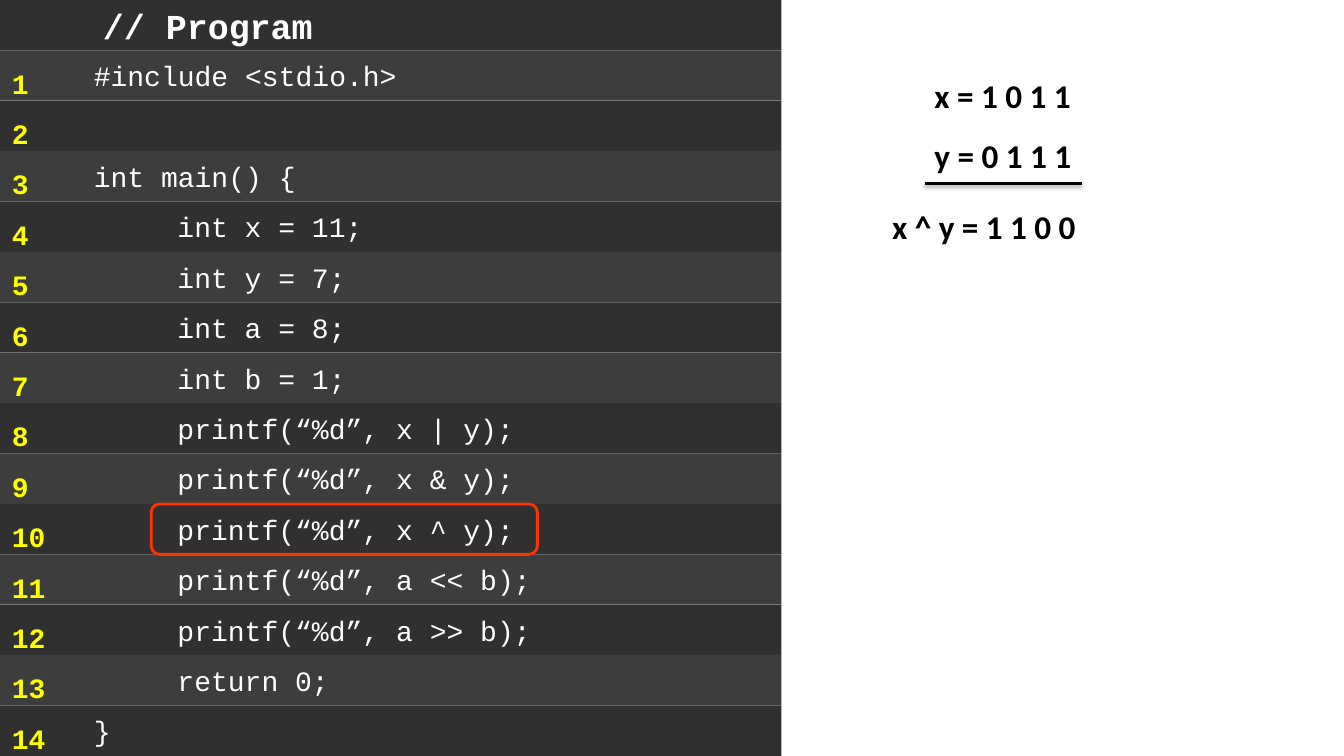
from lxml import etree
from pptx import Presentation
from pptx.dml.color import RGBColor
from pptx.enum.shapes import MSO_CONNECTOR, MSO_SHAPE
from pptx.enum.text import MSO_ANCHOR, PP_ALIGN
from pptx.oxml.ns import qn
from pptx.util import Inches, Pt

RECTANGLE = MSO_SHAPE.RECTANGLE
ROUNDED = MSO_SHAPE.ROUNDED_RECTANGLE
STRAIGHT = MSO_CONNECTOR.STRAIGHT
MIDDLE = MSO_ANCHOR.MIDDLE
LEFT = PP_ALIGN.LEFT

COLORS = {
    "dark": "303030",
    "light": "3D3D3D",
    "code": "FFFFFF",
    "number": "FFFF00",
    "working": "000000",
    "highlight": "FF3300",
}
CODE_FONT = "Courier New"
BODY_FONT = "Calibri"

ROW_HEIGHT = 0.5
CODE_WIDTH = 7.75
CODE_LEFT = 0.93
INDENT = 0.83
TITLE_LEFT = 1.02
HIGHLIGHTED_LINE = 10

# Each line of the program: indent level and code
PROGRAM = [
    (0, "#include <stdio.h>"),
    (0, ""),
    (0, "int main() {"),
    (1, "int x = 11;"),
    (1, "int y = 7;"),
    (1, "int a = 8;"),
    (1, "int b = 1;"),
    (1, "printf(“%d”, x | y);"),
    (1, "printf(“%d”, x & y);"),
    (1, "printf(“%d”, x ^ y);"),
    (1, "printf(“%d”, a << b);"),
    (1, "printf(“%d”, a >> b);"),
    (1, "return 0;"),
    (0, "}"),
]


class SlideBuilder:
    def __init__(self, slide):
        self.slide = slide

    def color(self, name):
        return RGBColor.from_string(COLORS[name])

    def format_paragraph(self, paragraph, font, size, color, bold):
        paragraph.alignment = LEFT
        for run in paragraph.runs:
            run.font.name = font
            run.font.size = Pt(size)
            run.font.bold = bold
            run.font.color.rgb = self.color(color)

    def code_row(self, row, text, text_left, size=20, bold=False):
        """Draw one band of the listing; bands alternate in shade."""
        shape = self.slide.shapes.add_shape(
            RECTANGLE, 0, Inches(row * ROW_HEIGHT), Inches(CODE_WIDTH), Inches(ROW_HEIGHT))
        shape.shadow.inherit = False
        shape.fill.solid()
        shape.fill.fore_color.rgb = self.color("light" if row % 2 else "dark")
        shape.line.fill.background()
        if text:
            frame = shape.text_frame
            frame.text = text
            frame.margin_left = Inches(text_left)
            frame.vertical_anchor = MIDDLE
            self.format_paragraph(frame.paragraphs[0], CODE_FONT, size, "code", bold)

    def text_box(self, left, top, width, height, lines, font, size, color):
        """Add bold lines at one and a half line spacing."""
        box = self.slide.shapes.add_textbox(
            Inches(left), Inches(top), Inches(width), Inches(height))
        frame = box.text_frame
        frame.word_wrap = True
        frame.text = "\n".join(lines)
        for paragraph in frame.paragraphs:
            paragraph.line_spacing = 1.5
            self.format_paragraph(paragraph, font, size, color, True)

    def sum_line(self, left, right, top):
        """Draw a horizontal rule with a soft shadow below it."""
        line = self.slide.shapes.add_connector(
            STRAIGHT, Inches(left), Inches(top), Inches(right), Inches(top))
        line.line.color.rgb = self.color("working")
        line.line.width = Pt(2)
        properties = line._element.spPr
        effects = etree.SubElement(properties, qn("a:effectLst"))
        shadow = etree.SubElement(
            effects, qn("a:outerShdw"), blurRad=str(Pt(3.1)), dist=str(Pt(1.6)),
            dir="5400000", rotWithShape="0")
        shade = etree.SubElement(shadow, qn("a:srgbClr"), val=COLORS["working"])
        etree.SubElement(shade, qn("a:alpha"), val="38000")

    def highlight(self, row, left, width):
        frame = self.slide.shapes.add_shape(
            ROUNDED, Inches(left), Inches(row * ROW_HEIGHT), Inches(width), Inches(ROW_HEIGHT))
        frame.shadow.inherit = False
        frame.fill.background()
        frame.line.color.rgb = self.color("highlight")
        frame.line.width = Pt(2)


def main():
    presentation = Presentation()
    presentation.slide_width = Inches(13.33)
    presentation.slide_height = Inches(7.5)
    builder = SlideBuilder(presentation.slides.add_slide(presentation.slide_layouts[6]))

    builder.code_row(0, "// Program", TITLE_LEFT, size=25, bold=True)
    for row, (level, code) in enumerate(PROGRAM, start=1):
        builder.code_row(row, code, CODE_LEFT + level * INDENT)
    numbers = [str(number) for number in range(1, len(PROGRAM) + 1)]
    builder.text_box(0.02, 0.44, 0.56, 7.13, numbers, CODE_FONT, 20, "number")

    builder.text_box(9.17, 0.5, 1.73, 1.3, ["x = 1 0 1 1", "y = 0 1 1 1"],
                     BODY_FONT, 23.7, "working")
    builder.sum_line(9.17, 10.73, 1.82)
    builder.text_box(8.75, 1.8, 2.14, 0.7, ["x ^ y = 1 1 0 0"], BODY_FONT, 23.7, "working")
    builder.highlight(HIGHLIGHTED_LINE, 1.5, 3.83)

    presentation.save("out.pptx")


if __name__ == "__main__":
    main()
